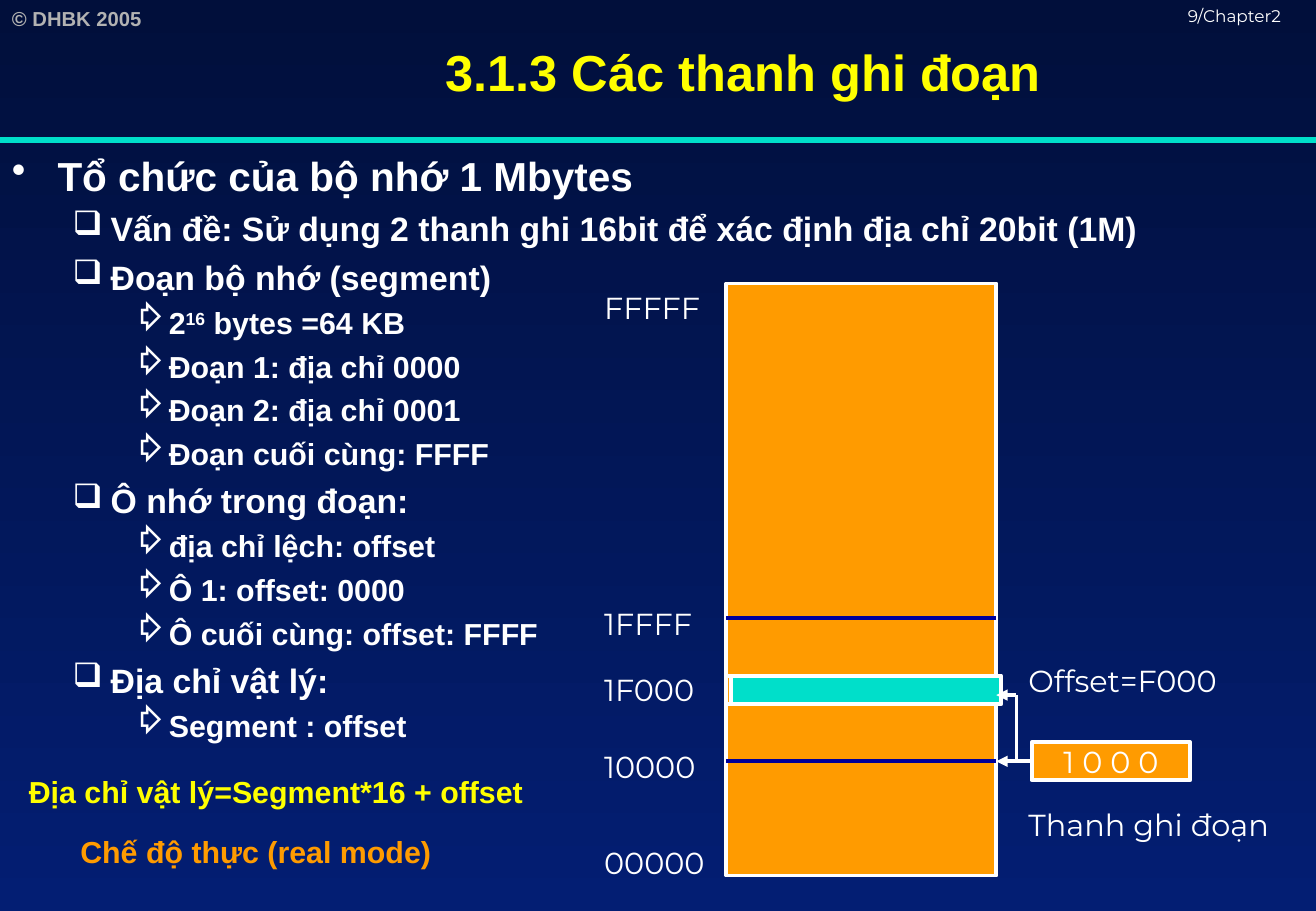
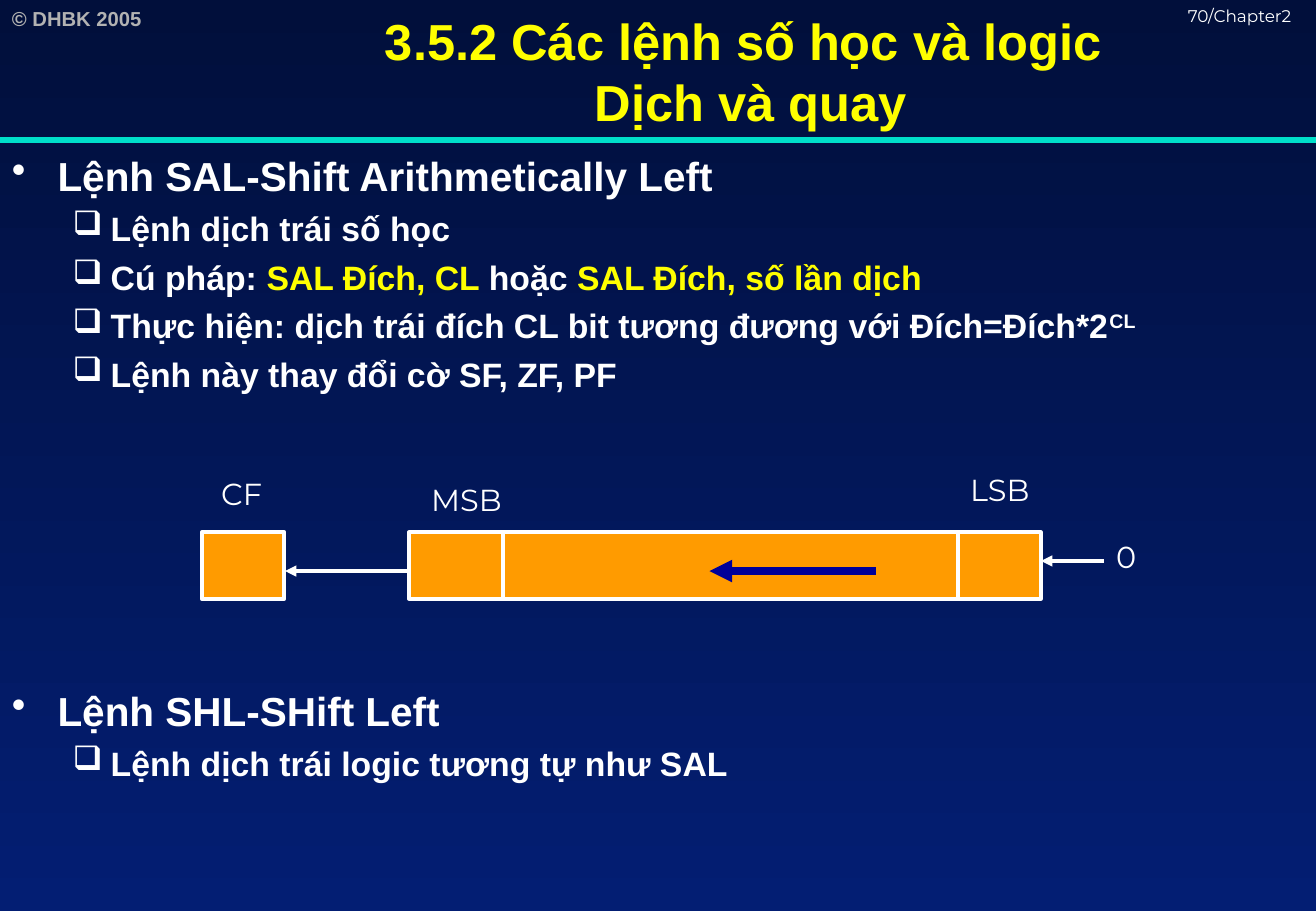
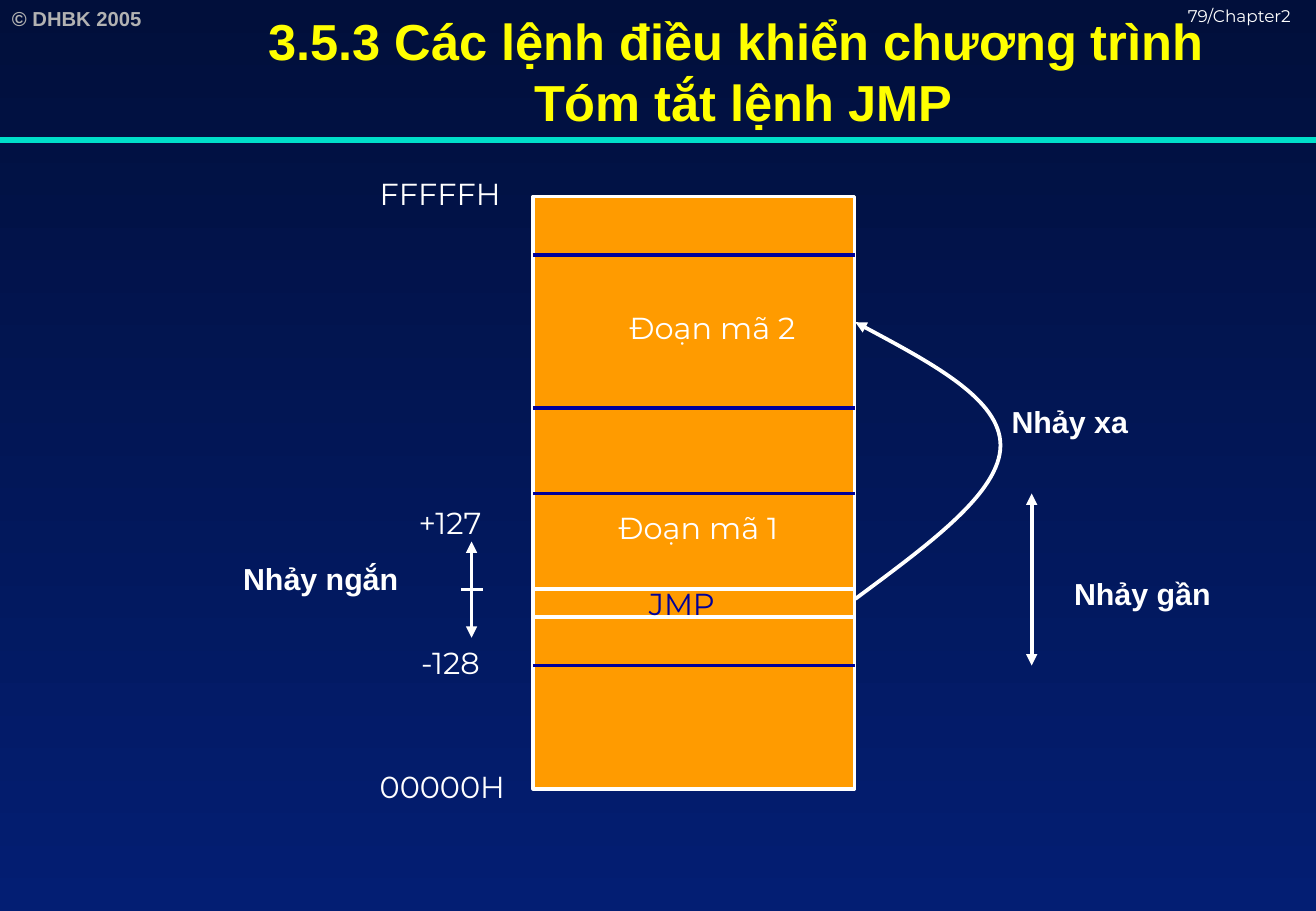
from lxml import etree
from pptx import Presentation
from pptx.dml.color import RGBColor
from pptx.enum.shapes import MSO_CONNECTOR as Conn, MSO_SHAPE as Shape
from pptx.enum.text import MSO_ANCHOR as Anchor, MSO_AUTO_SIZE as Fit, PP_ALIGN as Align
from pptx.oxml.ns import qn
from pptx.util import Pt

# Shared look
NIGHT = RGBColor(0x01, 0x0F, 0x3B)
BLUE = RGBColor(0x03, 0x1E, 0x73)
NAVY = RGBColor(0x00, 0x00, 0x99)
TEAL = RGBColor(0x00, 0xDF, 0xCA)
ORANGE = RGBColor(0xFF, 0x9B, 0x00)
YELLOW = RGBColor(0xFF, 0xFF, 0x00)
WHITE = RGBColor(0xFF, 0xFF, 0xFF)
GREY = RGBColor(0xB2, 0xB2, 0xB2)
HEAD, TAG = "Arial", "Montserrat"
WIDE, HIGH = 780, 540

# Outline levels: bullet, text size, left margin, hanging indent
LEVELS = [("•", 24, 27, 27), ("❑", 20, 58.5, 22.5), ("⇨", 18, 90, 18)]


def style(run, size, color=WHITE, face=HEAD, bold=True):
    font = run.font
    font.name, font.size, font.bold = face, Pt(size), bold
    font.color.rgb = color


def label(slide, text, left, top, width, height=29, size=18, color=WHITE,
          face=TAG, wrap=False):
    """Text box in one style; Arial labels are bold."""
    box = slide.shapes.add_textbox(Pt(left), Pt(top), Pt(width), Pt(height))
    frame = box.text_frame
    frame.text = text
    frame.word_wrap = wrap
    frame.auto_size = Fit.NONE if wrap else Fit.SHAPE_TO_FIT_TEXT
    for run in frame.paragraphs[0].runs:
        style(run, size, color, face, face == HEAD)
    return frame


def block(slide, left, top, width, height, fill=ORANGE, text=""):
    """Filled rectangle with a white outline."""
    rect = slide.shapes.add_shape(
        Shape.RECTANGLE, Pt(left), Pt(top), Pt(width), Pt(height))
    rect.shadow.inherit = False
    rect.fill.solid()
    rect.fill.fore_color.rgb = fill
    rect.line.color.rgb = WHITE
    rect.line.width = Pt(2.25)
    if text:
        frame = rect.text_frame
        frame.text = text
        frame.word_wrap = False
        frame.vertical_anchor = Anchor.MIDDLE
        frame.paragraphs[0].alignment = Align.CENTER
        style(frame.paragraphs[0].runs[0], 18, face=TAG, bold=False)
    return rect


def ends(item, *names):
    """Put triangles on the named line ends (headEnd before tailEnd)."""
    for name in names:
        etree.SubElement(item.line._get_or_add_ln(), qn("a:" + name), type="triangle")


def line(slide, x1, y1, x2, y2, color=WHITE, width=2.25, tips=()):
    link = slide.shapes.add_connector(
        Conn.STRAIGHT, Pt(x1), Pt(y1), Pt(x2), Pt(y2))
    link.line.color.rgb = color
    link.line.width = Pt(width)
    ends(link, *tips)
    etree.SubElement(link._element.spPr, qn("a:effectLst"))
    return link


def curve(slide, start, *arcs):
    """Open path of cubic arcs, each given as two controls and an end."""
    maker = slide.shapes.build_freeform(*start, scale=Pt(1))
    maker.add_line_segments([arc[-1] for arc in arcs], close=False)
    bend = maker.convert_to_shape()
    bend.shadow.inherit = False
    bend.fill.background()
    bend.line.color.rgb = WHITE
    bend.line.width = Pt(2.25)
    ends(bend, "tailEnd")
    left, top = bend.left / Pt(1), bend.top / Pt(1)
    route = next(bend._element.iter(qn("a:path")))
    for leg, arc in zip(route.findall(qn("a:lnTo")), arcs):
        cubic = etree.SubElement(route, qn("a:cubicBezTo"))
        for x, y in arc:
            etree.SubElement(cubic, qn("a:pt"),
                             x=str(round(x - left)), y=str(round(y - top)))
        route.remove(leg)


def outline(slide, items):
    """Bulleted body; an item is level, runs and an optional space before.

    A run is a plain string or a pair of text and "key" or "up".
    """
    box = slide.shapes.add_textbox(0, Pt(86), Pt(WIDE), Pt(HIGH - 86))
    frame = box.text_frame
    frame.word_wrap = True
    for at, (level, runs, *gap) in enumerate(items):
        para = frame.add_paragraph() if at else frame.paragraphs[0]
        mark, size, margin, hang = LEVELS[level]
        para.level = level
        para.space_before = Pt(gap[0] if gap else 0.24 * size if at else 0)
        props = para._p.get_or_add_pPr()
        props.set("marL", str(Pt(margin)))
        props.set("indent", str(-Pt(hang)))
        etree.SubElement(props, qn("a:buChar"), char=mark)
        for part in [runs] if isinstance(runs, str) else runs:
            text, kind = (part, "") if isinstance(part, str) else part
            run = para.add_run()
            run.text = text
            style(run, size, YELLOW if kind == "key" else WHITE)
            if kind == "up":
                run._r.get_or_add_rPr().set("baseline", "30000")


def page(deck, number, title):
    """New slide with the shared header."""
    slide = deck.slides.add_slide(deck.slide_layouts[6])
    label(slide, "© DHBK 2005", 0, 0, 113, 22, 12, GREY, HEAD, True)
    line(slide, 0, 83, WIDE, 83, TEAL, 3)
    label(slide, f"{number}/Chapter2", 697, 0, 83, 18, 10, wrap=True)
    head = label(slide, title, 101.5, 0, 678.5, 84, 30, YELLOW, HEAD, True)
    head.vertical_anchor = Anchor.MIDDLE
    head.paragraphs[0].alignment = Align.CENTER
    return slide


def memory(deck):
    slide = page(deck, 9, "3.1.3 Các thanh ghi đoạn")
    outline(slide, [
        (0, "Tổ chức của bộ nhớ 1 Mbytes"),
        (1, "Vấn đề: Sử dụng 2 thanh ghi 16bit để xác định địa chỉ 20bit (1M)"),
        (1, "Đoạn bộ nhớ (segment)"),
        (2, ["2", ("16", "up"), " bytes =64 KB"]),
        (2, "Đoạn 1: địa chỉ 0000"),
        (2, "Đoạn 2: địa chỉ 0001"),
        (2, "Đoạn cuối cùng: FFFF"),
        (1, "Ô nhớ trong đoạn:"),
        (2, "địa chỉ lệch: offset"),
        (2, "Ô 1: offset: 0000"),
        (2, "Ô cuối cùng: offset: FFFF"),
        (1, "Địa chỉ vật lý:"),
        (2, "Segment : offset"),
    ])

    # Memory map
    left, right = 430.5, 590.5
    block(slide, left, 168, right - left, 351)
    for y, color in [(451.25, NAVY), (366.5, NAVY), (417.5, WHITE), (400.5, WHITE)]:
        line(slide, left, y, right, y, color)
    for text, y in [("FFFFF", 168), ("1FFFF", 355), ("1F000", 394.5),
                    ("10000", 440), ("00000", 497)]:
        label(slide, text, 351, y, 80)
    block(slide, left + 3, 400.5, right - left, 17, TEAL)

    # Segment register and offset
    seg = block(slide, 611.5, 440, 94, 22.5, text="1 0 0 0")
    base = line(slide, 611.5, 451.25, right, 451.25, tips=["tailEnd"])
    base.begin_connect(seg, 1)
    line(slide, 602.5, 451.25, 602.5, 412)
    line(slide, 602.5, 412, right, 412, tips=["tailEnd"])
    label(slide, "Offset=F000", 602.5, 389, 145.5)
    label(slide, "Thanh ghi đoạn", 602.5, 474.5, 177)

    # Summary
    label(slide, "Địa chỉ vật lý=Segment*16 + offset", 10, 454.5, 307.5,
          color=YELLOW, face=HEAD)
    label(slide, "Chế độ thực (real mode)", 40.5, 490.5, 222.5,
          color=ORANGE, face=HEAD)


def shift(deck):
    slide = page(deck, 70, "3.5.2 Các lệnh số học và logic\v Dịch và quay")
    outline(slide, [
        (0, "Lệnh SAL-Shift Arithmetically Left"),
        (1, "Lệnh dịch trái số học"),
        (1, ["Cú pháp: ", ("SAL Đích, CL ", "key"), "hoặc ",
             ("SAL Đích, số lần dịch", "key")]),
        (1, ["Thực hiện: dịch trái đích CL bit tương đương với Đích=Đích*2",
             ("CL", "up")]),
        (1, "Lệnh này thay đổi cờ SF, ZF, PF"),
        (0, "Lệnh SHL-SHift Left", 173),
        (1, "Lệnh dịch trái logic tương tự như SAL"),
    ])

    # Register and carry flag
    top, tall = 315.5, 39.5
    block(slide, 242.5, top, 374.5, tall)
    for x in (298, 568):
        line(slide, x, top, x, top + tall)
    block(slide, 119.5, top, 49, tall)
    for text, x, y, width in [("CF", 124, 278, 44), ("MSB", 248.5, 281.5, 63.5),
                              ("LSB", 568, 276, 57.5), ("0", 654.5, top, 29)]:
        label(slide, text, x, y, width)

    # Shift direction
    for x1, x2, y, color, width in [(519, 420.5, 338.5, NAVY, 4.5),
                                    (242.5, 169, 338.5, WHITE, 2.25),
                                    (654.5, 617, 332.5, WHITE, 2.25)]:
        line(slide, x1, y, x2, y, color, width, ["tailEnd"])


def jump(deck):
    slide = page(deck, 79, "3.5.3 Các lệnh điều khiển chương trình \vTóm tắt lệnh JMP")

    # Memory map
    left, right = 316, 506.5
    block(slide, left, 116.5, right - left, 351)
    for y in (151, 242, 292.5, 394.5):
        line(slide, left, y, right, y, NAVY)
    block(slide, left, 349, right - left, 17)
    label(slide, "JMP", 377.5, 343.5, 61, color=NAVY)
    for text, x, y, width in [
            ("00000H", 218, 451.5, 97), ("FFFFFH", 218, 100, 97),
            ("+127", 241, 295, 67.5), ("-128", 242.5, 378, 61),
            ("Đoạn mã 2", 366, 179.5, 126), ("Đoạn mã 1", 359.5, 298, 126)]:
        label(slide, text, x, y, width)

    # Short, near and far jumps
    both = ["headEnd", "tailEnd"]
    line(slide, 279.5, 321, 279.5, 378, tips=both)
    line(slide, 273.5, 349.5, 286, 349.5)
    line(slide, 611.5, 292.5, 611.5, 394.5, tips=both)
    curve(slide, (507, 355),
          [(550, 323), (593, 292), (593, 264)],
          [(593, 237), (550, 214), (507, 191)])
    for text, x, y, width in [("Nhảy ngắn", 137, 328.5, 106.5),
                              ("Nhảy gần", 629.5, 337.5, 96),
                              ("Nhảy xa", 592.5, 235.5, 83.5)]:
        label(slide, text, x, y, width, face=HEAD)


def main():
    deck = Presentation()
    deck.slide_width, deck.slide_height = Pt(WIDE), Pt(HIGH)

    # Gradient background for all slides
    fill = deck.slide_master.background.fill
    fill.gradient()
    fill.gradient_angle = 270
    for stop, color in zip(fill.gradient_stops, (NIGHT, BLUE)):
        stop.color.rgb = color

    memory(deck)
    shift(deck)
    jump(deck)
    deck.save("out.pptx")


if __name__ == "__main__":
    main()
